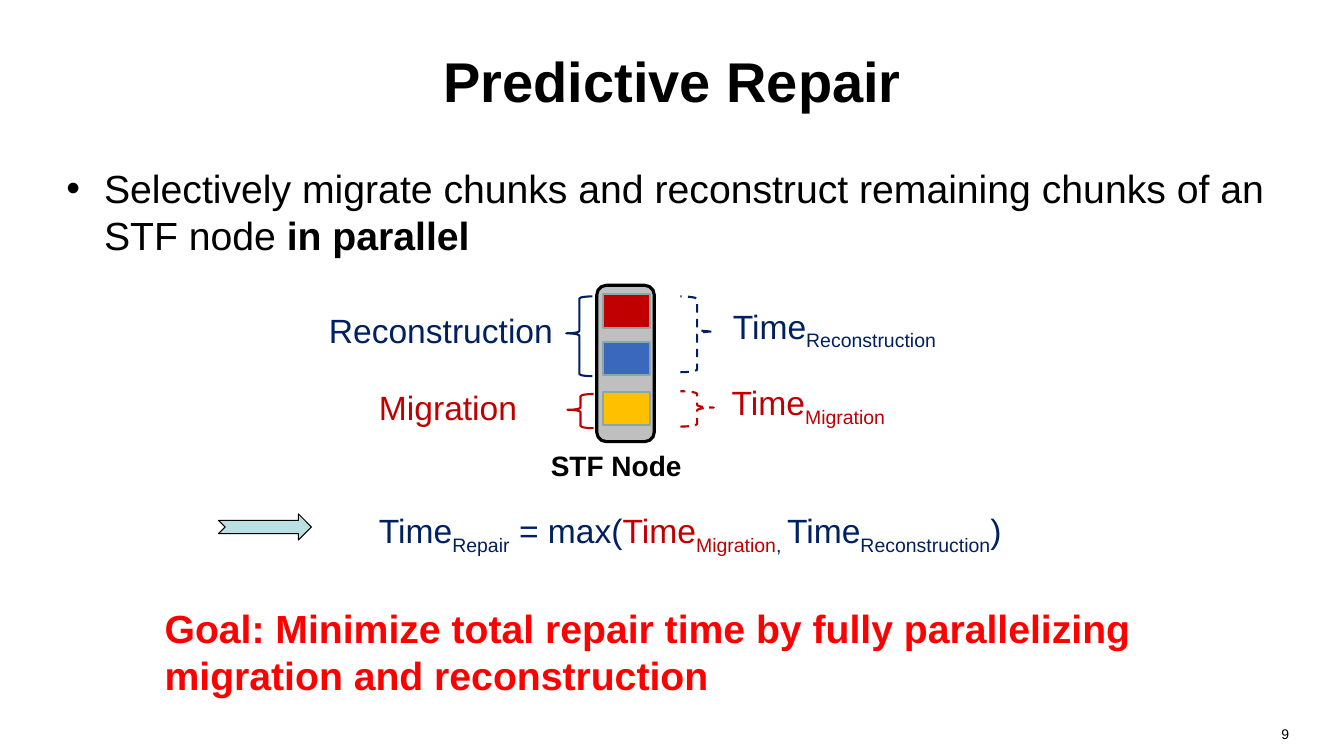
from lxml.etree import SubElement
from pptx import Presentation
from pptx.dml.color import RGBColor
from pptx.enum.dml import MSO_LINE_DASH_STYLE as Dash
from pptx.enum.shapes import MSO_SHAPE as Shape
from pptx.enum.text import MSO_ANCHOR as Anchor, MSO_AUTO_SIZE as AutoSize, PP_ALIGN as Align
from pptx.oxml.ns import qn
from pptx.util import Cm, Pt

NAVY, CRIMSON, RED, BLACK = "002060", "C00000", "FF0000", "000000"
INDENT = Cm(0.95)


def color(hex_string):
    return RGBColor.from_string(hex_string)


def place(shape, box):
    shape.left, shape.top, shape.width, shape.height = map(Cm, box)


def format_text(frame, runs, size, hue=BLACK, bold=False, align=Align.LEFT, anchor=Anchor.MIDDLE):
    """Write runs given as (text, own settings) into the first paragraph."""
    frame.word_wrap = True
    frame.auto_size = AutoSize.NONE
    frame.vertical_anchor = anchor
    paragraph = frame.paragraphs[0]
    paragraph.alignment = align
    paragraph.space_before = Pt(0)
    font = paragraph.font
    font.name, font.size, font.bold = "Arial", Pt(size), bold
    font.color.rgb = color(hue)
    for text, own in runs:
        run = paragraph.add_run()
        run.text = text
        if "bold" in own:
            run.font.bold = own["bold"]
        if "hue" in own:
            run.font.color.rgb = color(own["hue"])
        if own.get("sub"):
            run._r.get_or_add_rPr().set("baseline", "-25000")
    return paragraph


def add_label(slide, box, runs, size, **style):
    label = slide.shapes.add_textbox(*map(Cm, box))
    if isinstance(runs, str):
        runs = [(runs, {})]
    return format_text(label.text_frame, runs, size, **style)


def add_figure(slide, kind, box, line, width, fill=None):
    figure = slide.shapes.add_shape(kind, *map(Cm, box))
    figure.shadow.inherit = False
    if fill:
        figure.fill.solid()
        figure.fill.fore_color.rgb = color(fill)
    else:
        figure.fill.background()
    figure.line.color.rgb = color(line)
    figure.line.width = Pt(width)
    return figure


def add_brace(slide, box, hue, mirrored=False):
    brace = add_figure(slide, Shape.LEFT_BRACE, box, hue, 1.5)
    brace.adjustments[0] = 0.083
    brace.adjustments[1] = 0.463
    if mirrored:
        brace._element.spPr.xfrm.set("flipH", "1")
        brace.line.dash_style = Dash.DASH


def time_of(subscript, hue):
    return [("Time", {"hue": hue}), (subscript, {"hue": hue, "sub": True})]


def add_heading_and_point(slide):
    title, body = slide.placeholders[0], slide.placeholders[1]
    place(title, (1.7, 0.43, 30.48, 3.18))
    format_text(title.text_frame, [("Predictive Repair", {})], 40, bold=True, align=Align.CENTER)

    place(body, (1.42, 4.01, 31.88, 11.43))
    properties = body.text_frame.paragraphs[0]._p.get_or_add_pPr()
    properties.set("marL", str(INDENT))
    properties.set("indent", str(-INDENT))
    SubElement(properties, qn("a:buChar")).set("char", "•")
    point = [("Selectively migrate chunks and reconstruct remaining chunks of an STF node ", {}),
             ("in parallel", {"bold": True})]
    format_text(body.text_frame, point, 28, anchor=Anchor.TOP)


def add_node(slide):
    add_figure(slide, Shape.ROUNDED_RECTANGLE, (15.04, 7.19, 1.45, 3.94), BLACK, 2.25, "BFBFBF")
    add_label(slide, (13.51, 11.13, 4.04, 1.19), "STF Node", 20, bold=True, align=Align.CENTER)
    for top, fill in ((7.42, CRIMSON), (8.61, "3A68BC"), (9.88, "FFC000")):
        add_figure(slide, Shape.RECTANGLE, (15.19, top, 1.19, 0.84), "8AA6A8", 1.5, fill)


def add_repair_methods(slide):
    # Methods on the left of the node
    add_brace(slide, (14.27, 7.47, 0.66, 2.01), NAVY)
    add_brace(slide, (14.3, 9.93, 0.66, 0.86), CRIMSON)
    add_label(slide, (9.3, 9.55, 4.22, 1.42), "Migration", 24, hue=CRIMSON)
    add_label(slide, (7.72, 7.67, 6.78, 1.32), "Reconstruction", 24, hue=NAVY, align=Align.CENTER)

    # Their times on the right
    add_brace(slide, (17.15, 9.86, 0.84, 0.89), CRIMSON, mirrored=True)
    add_label(slide, (17.84, 7.62, 6.38, 1.32), time_of("Reconstruction", NAVY), 24,
              hue=NAVY, align=Align.CENTER)
    add_brace(slide, (17.15, 7.47, 0.84, 1.91), NAVY, mirrored=True)
    add_label(slide, (18.19, 9.55, 5.28, 1.32), time_of("Migration", CRIMSON), 24, hue=CRIMSON)


def add_conclusion(slide):
    # Total repair time
    add_figure(slide, Shape.NOTCHED_RIGHT_ARROW, (5.51, 12.95, 2.34, 0.66), BLACK, 0.75, "BBE0E3")
    formula = [*time_of("Repair", NAVY), (" = max(", {}), *time_of("Migration", CRIMSON),
               (", ", {"sub": True}), *time_of("Reconstruction", NAVY), (")", {})]
    add_label(slide, (9.3, 12.73, 17.4, 1.27), formula, 24, hue=NAVY, anchor=Anchor.TOP)

    # Goal
    goal = add_label(slide, (2.95, 15.24, 29.24, 2.34),
                     "Goal: Minimize total repair time by fully parallelizing "
                     "migration and reconstruction", 28, hue=RED, bold=True)
    goal._p.get_or_add_pPr().set("marL", str(INDENT))


def main():
    deck = Presentation()
    deck.slide_width, deck.slide_height = Cm(33.87), Cm(19.05)
    slide = deck.slides.add_slide(deck.slide_layouts[1])
    add_heading_and_point(slide)
    add_label(slide, (24.84, 18.16, 7.9, 0.89), "9", 10, align=Align.RIGHT, anchor=Anchor.TOP)
    add_node(slide)
    add_repair_methods(slide)
    add_conclusion(slide)
    deck.save("out.pptx")


if __name__ == "__main__":
    main()
